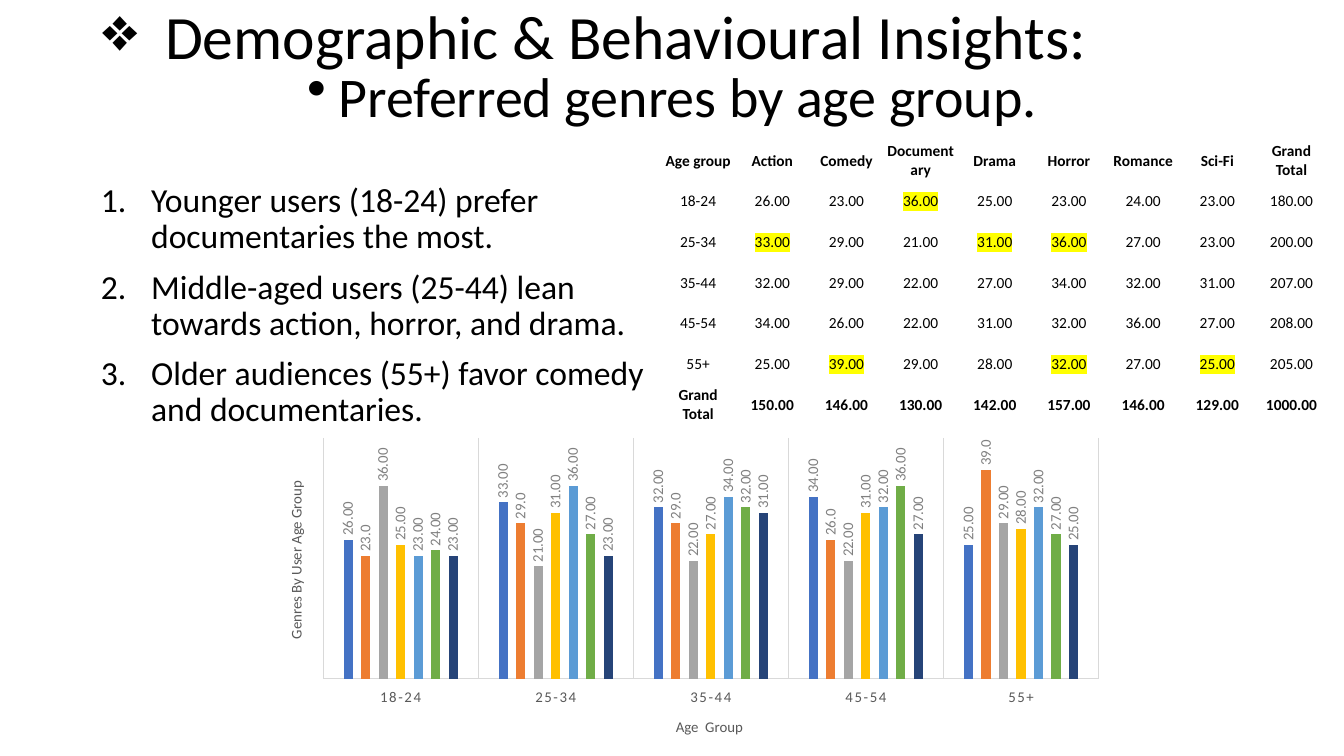
from lxml import etree
from pptx import Presentation
from pptx.chart.data import CategoryChartData
from pptx.dml.color import RGBColor
from pptx.enum.chart import XL_CHART_TYPE, XL_LABEL_POSITION, XL_TICK_LABEL_POSITION, XL_TICK_MARK
from pptx.enum.text import MSO_ANCHOR, PP_ALIGN
from pptx.oxml import parse_xml
from pptx.oxml.ns import nsdecls, qn
from pptx.util import Cm, Pt

LEFT, CENTER = PP_ALIGN.LEFT, PP_ALIGN.CENTER
TOP, MIDDLE, BOTTOM = MSO_ANCHOR.TOP, MSO_ANCHOR.MIDDLE, MSO_ANCHOR.BOTTOM
CLUSTERED = XL_CHART_TYPE.COLUMN_CLUSTERED
OUTSIDE_END = XL_LABEL_POSITION.OUTSIDE_END
LOW = XL_TICK_LABEL_POSITION.LOW
NO_TICK = XL_TICK_MARK.NONE

THEME = {
    "font": "Calibri", "text": "000000", "highlight": "FFFF00",
    "axis": "595959", "label": "808080", "grid": "D9D9D9",
    "title": 44, "subtitle": 40, "body": 24, "cell": 11, "chart": 10.6,
    "series": ["4472C4", "ED7D31", "A5A5A5", "FFC000", "5B9BD5", "70AD47", "264478"],
}

GENRES = ["Action", "Comedy", "Documentary", "Drama", "Horror", "Romance", "Sci-Fi"]
AGES = {
    "18-24": [26, 23, 36, 25, 23, 24, 23],
    "25-34": [33, 29, 21, 31, 36, 27, 23],
    "35-44": [32, 29, 22, 27, 34, 32, 31],
    "45-54": [34, 26, 22, 31, 32, 36, 27],
    "55+": [25, 39, 29, 28, 32, 27, 25],
}
HIGHLIGHTS = {
    "18-24": ["Documentary"],
    "25-34": ["Action", "Drama", "Horror"],
    "55+": ["Comedy", "Horror", "Sci-Fi"],
}


def set_font(font, size, color=THEME["text"], bold=False):
    for name, value in {"name": THEME["font"], "size": Pt(size), "bold": bold}.items():
        setattr(font, name, value)
    font.color.rgb = RGBColor.from_string(color)


def set_layout(parent, after, box):
    tags = "".join(f'<c:{tag} val="{value}"/>' for tag, value in box.items())
    for old in parent.findall(qn("c:layout")):
        parent.remove(old)
    layout = parse_xml(f'<c:layout {nsdecls("c")}><c:manualLayout>{tags}</c:manualLayout></c:layout>')
    if after is None:
        parent.insert(0, layout)
    else:
        after.addnext(layout)


prs = Presentation()
prs.slide_width, prs.slide_height = Cm(33.87), Cm(19.05)
slide = prs.slides.add_slide(prs.slide_layouts[6])

texts = [
    {"box": (2.33, 0, 29.37, 1.96), "lines": ["Demographic & Behavioural Insights:"],
     "size": "title", "anchor": BOTTOM, "bullet": ("buChar", "char", "❖"), "indent": 1.58,
     "format": {"alignment": LEFT, "line_spacing": 0.9}},
    {"box": (0, 1.42, 33.87, 1.96), "lines": ["Preferred genres by age group."],
     "size": "subtitle", "anchor": TOP, "bullet": ("buChar", "char", "•"), "indent": 0.79,
     "format": {"alignment": CENTER}},
    {"box": (2.29, 4.5, 15.19, 7.98),
     "lines": ["Younger users (18-24) prefer documentaries the most.",
               "Middle-aged users (25-44) lean towards action, horror, and drama.",
               "Older audiences (55+) favor comedy and documentaries."],
     "size": "body", "anchor": TOP, "bullet": ("buAutoNum", "type", "arabicPeriod"), "indent": 1.27,
     "format": {"alignment": LEFT, "line_spacing": 0.9, "space_before": Pt(10)}},
]
for text in texts:
    sp = slide.shapes.add_textbox(*map(Cm, text["box"]))
    tf = sp.text_frame
    tf.word_wrap = True
    tf.vertical_anchor = text["anchor"]
    for i, line in enumerate(text["lines"]):
        p = tf.add_paragraph() if i else tf.paragraphs[0]
        for name, value in text["format"].items():
            setattr(p, name, value)
        pPr = p._p.get_or_add_pPr()
        pPr.set("marL", str(Cm(text["indent"])))
        pPr.set("indent", str(-Cm(text["indent"])))
        tag, key, value = text["bullet"]
        etree.SubElement(pPr, qn(f"a:{tag}")).set(key, value)
        r = p.add_run()
        r.text = line
        set_font(r.font, THEME[text["size"]])

rows = [["Age group", *GENRES, "Grand Total"]]
for age, values in AGES.items():
    rows.append([age, *(f"{v:.2f}" for v in values), f"{sum(values):.2f}"])
totals = [sum(column) for column in zip(*AGES.values())]
rows.append(["Grand Total", *(f"{v:.2f}" for v in totals), f"{sum(totals):.2f}"])

table = slide.shapes.add_table(len(rows), len(rows[0]), Cm(16.66), Cm(3.53), Cm(16.83), Cm(7.18)).table
table.first_row = table.horz_banding = False
cell_format = {"vertical_anchor": MIDDLE, "margin_left": Cm(0.02), "margin_right": Cm(0.02),
               "margin_top": Cm(0.02), "margin_bottom": 0}
for i, row in enumerate(rows):
    for j, value in enumerate(row):
        cell = table.cell(i, j)
        cell.fill.background()
        for name, setting in cell_format.items():
            setattr(cell, name, setting)
        p = cell.text_frame.paragraphs[0]
        p.alignment = CENTER
        r = p.add_run()
        r.text = value
        set_font(r.font, THEME["cell"], bold=i in (0, len(rows) - 1))
        if rows[0][j] in HIGHLIGHTS.get(row[0], []):
            mark = parse_xml(f'<a:highlight {nsdecls("a")}><a:srgbClr val="{THEME["highlight"]}"/></a:highlight>')
            r.font._element.find(qn("a:solidFill")).addnext(mark)

data = CategoryChartData(number_format="0.00")
data.categories = list(AGES)
for genre, values in zip(GENRES, zip(*AGES.values())):
    data.add_series(genre, values)
chart = slide.shapes.add_chart(CLUSTERED, Cm(6.5), Cm(10.87), Cm(21.62), Cm(8.13), data).chart
chart.has_title = chart.has_legend = False
set_font(chart.font, THEME["chart"])
plot = chart.plots[0]
for name, value in {"gap_width": 444, "overlap": -90, "vary_by_categories": False}.items():
    setattr(plot, name, value)
for genre, series, color in zip(GENRES, plot.series, THEME["series"]):
    series.format.fill.solid()
    series.format.fill.fore_color.rgb = RGBColor.from_string(color)
    labels = series.data_labels
    label_format = {"show_value": True, "position": OUTSIDE_END, "number_format_is_linked": False,
                    "number_format": "0.0" if genre == "Comedy" else "0.00"}
    for name, value in label_format.items():
        setattr(labels, name, value)
    set_font(labels.font, THEME["chart"], THEME["label"])
    body = labels._element.find(qn("c:txPr")).find(qn("a:bodyPr"))
    body.set("rot", "-5400000")
    body.set("vert", "horz")

ages, counts = chart.category_axis, chart.value_axis
ages.major_tick_mark = ages.minor_tick_mark = NO_TICK
ages.tick_label_position = LOW
ages.has_major_gridlines = True
set_font(ages.tick_labels.font, THEME["chart"], THEME["axis"])
ages.tick_labels.font._element.set("spc", "120")
for line in (ages.format.line, ages.major_gridlines.format.line):
    line.width = Pt(0.75)
    line.color.rgb = RGBColor.from_string(THEME["grid"])
for name, value in {"minimum_scale": 0, "maximum_scale": 45, "has_major_gridlines": False,
                    "visible": False}.items():
    setattr(counts, name, value)

axis_titles = [(ages, "Age  Group", 0.484, 0.877, "0"),
               (counts, "Genres By User Age Group", 0.03, 0.145, "-5400000")]
for axis, caption, x, y, rotation in axis_titles:
    tf = axis.axis_title.text_frame
    r = tf.paragraphs[0].add_run()
    r.text = caption
    set_font(r.font, THEME["chart"], THEME["axis"])
    body = tf._txBody.find(qn("a:bodyPr"))
    body.set("rot", rotation)
    body.set("vert", "horz")
    title = axis.axis_title._element
    set_layout(title, title.find(qn("c:tx")), {"xMode": "edge", "yMode": "edge", "x": x, "y": y})
set_layout(plot._element.getparent(), None,
           {"layoutTarget": "inner", "xMode": "edge", "yMode": "edge",
            "x": 0.076, "y": 0.02, "w": 0.904, "h": 0.747})

prs.save("out.pptx")
